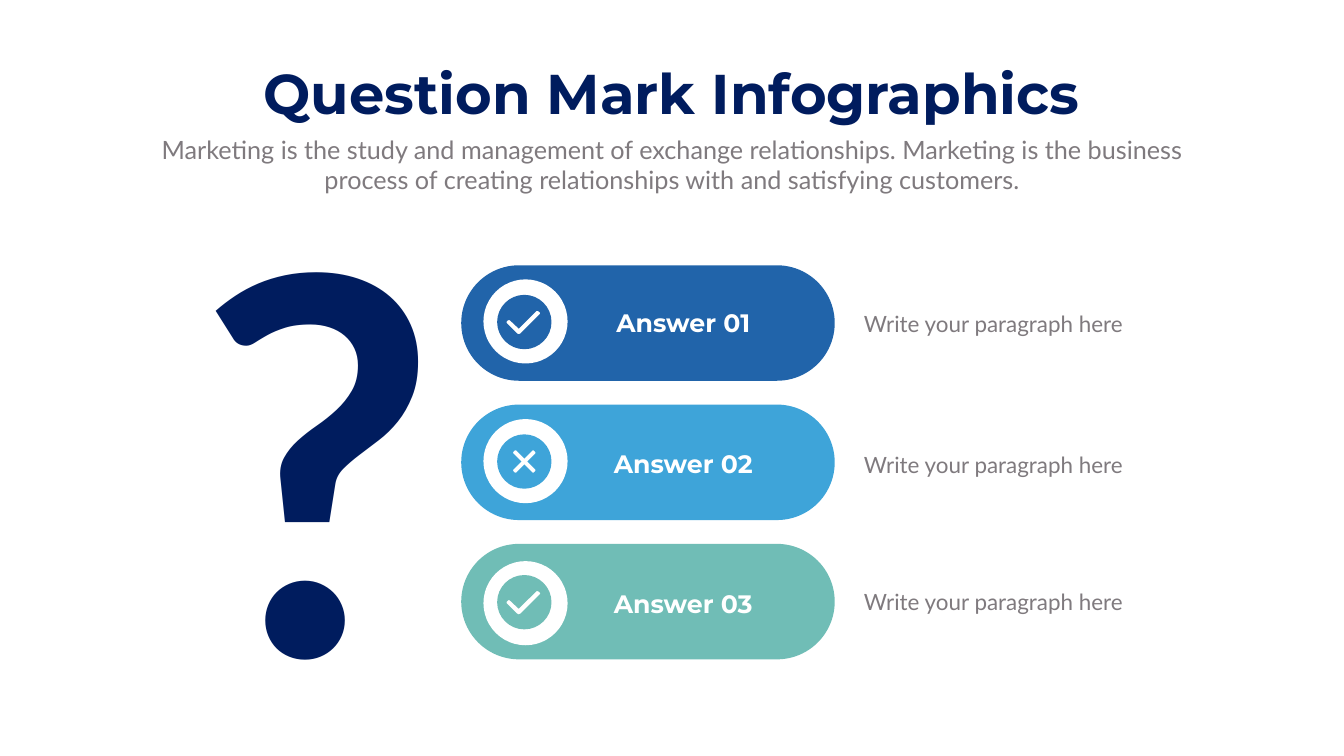
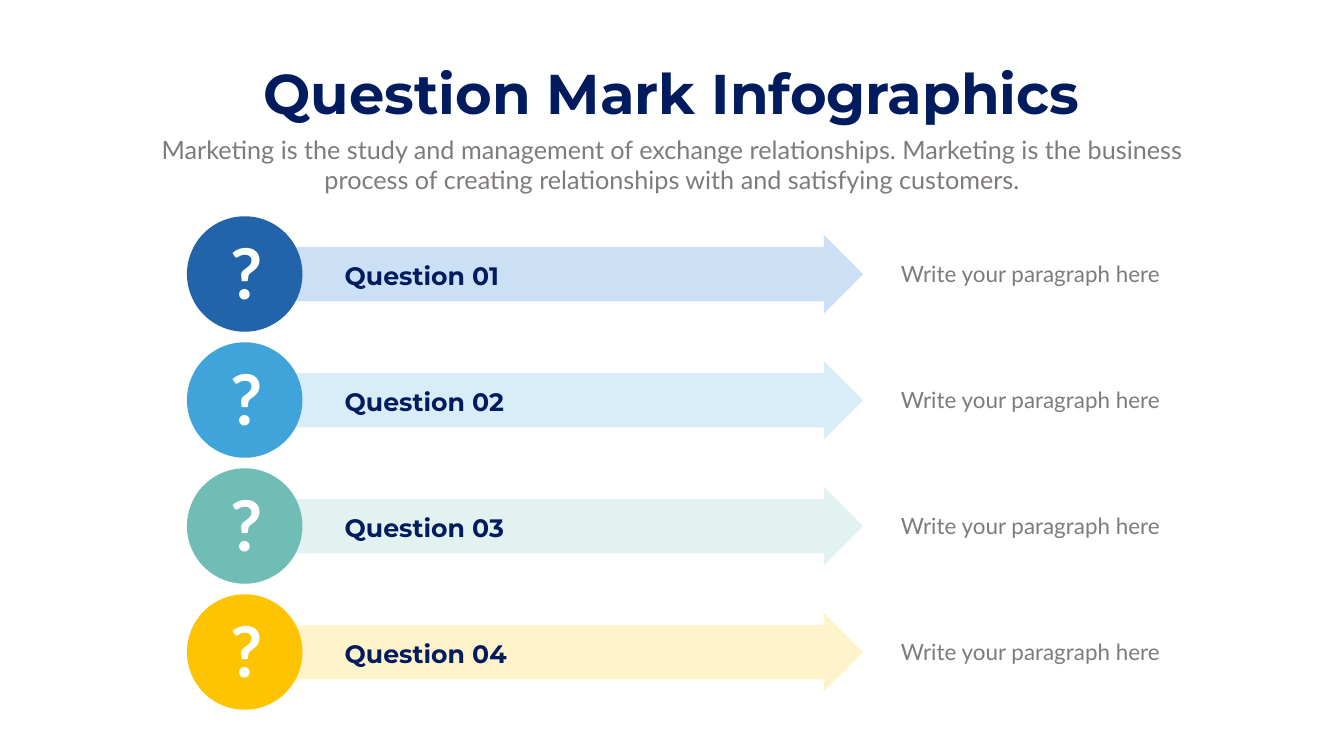
from lxml import etree
from pptx import Presentation
from pptx.dml.color import RGBColor
from pptx.enum import shapes, text
from pptx.oxml.ns import qn
from pptx.util import Cm, Pt

NAVY = RGBColor(0x00, 0x1C, 0x5E)
GREY = RGBColor(0x7F, 0x7A, 0x7E)
WHITE = RGBColor(0xFF, 0xFF, 0xFF)
BLUE = RGBColor(0x21, 0x64, 0xAA)
SKY = RGBColor(0x3E, 0xA4, 0xD9)
TEAL = RGBColor(0x70, 0xBD, 0xB6)
YELLOW = RGBColor(0xFE, 0xC4, 0x02)
PALE_BLUE = RGBColor(0xCC, 0xE0, 0xF5)
PALE_SKY = RGBColor(0xD8, 0xED, 0xF7)
PALE_TEAL = RGBColor(0xE2, 0xF2, 0xF0)
PALE_YELLOW = RGBColor(0xFF, 0xF3, 0xCC)

HEADING_FONT = "Montserrat"
BODY_FONT = "Lato"
LEFT = text.PP_ALIGN.LEFT
CENTER = text.PP_ALIGN.CENTER
SHAPE = shapes.MSO_SHAPE

TITLE = "Question Mark Infographics"
SUBTITLE = (
    "Marketing is the study and management of exchange relationships. "
    "Marketing is the business process of creating relationships with "
    "and satisfying customers."
)
PARAGRAPH = "Write your paragraph here"

# Icon outlines, in centimetres from the centre of the disc
DISC_RADIUS = 1.37
DISC = [(0, -DISC_RADIUS), (-DISC_RADIUS, 0), (0, DISC_RADIUS), (DISC_RADIUS, 0)]
QUARTER_ARC = 0.55  # handle length of a quarter circle, as a share of the radius
CHECK = [
    (0.79, -0.41), (-0.2, 0.58), (-0.28, 0.62), (-0.36, 0.58), (-0.89, 0.05),
    (-0.89, -0.03), (-0.81, -0.1), (-0.74, -0.1), (-0.28, 0.33), (0.61, -0.56),
    (0.69, -0.56), (0.79, -0.48), (0.81, -0.44),
]
CROSS_ARM = [(0.15, 0), (0.56, 0.41), (0.56, 0.48), (0.48, 0.56), (0.41, 0.56)]
CROSS = (
    CROSS_ARM
    + [(-y, x) for x, y in CROSS_ARM]
    + [(-x, -y) for x, y in CROSS_ARM]
    + [(y, -x) for x, y in CROSS_ARM]
)

# Label, colour, mark, then distances below the pill's top:
# ring, icon centre, label, paragraph
ANSWERS = [
    ("Answer 01", BLUE, CHECK, 0.71, 2.86, 2.01, 2.11),
    ("Answer 02", SKY, CROSS, 0.73, 2.87, 2.1, 2.23),
    ("Answer 03", TEAL, CHECK, 0.87, 2.94, 2.09, 2.09),
]
QUESTIONS = [
    ("Question 01", BLUE, PALE_BLUE),
    ("Question 02", SKY, PALE_SKY),
    ("Question 03", TEAL, PALE_TEAL),
    ("Question 04", YELLOW, PALE_YELLOW),
]


def paint(shape, color):
    shape.fill.solid()
    shape.fill.fore_color.rgb = color
    shape.line.fill.background()
    shape.shadow.inherit = False


def add_filled(slide, kind, box, color, adjustments=()):
    shape = slide.shapes.add_shape(kind, *map(Cm, box))
    for index, value in enumerate(adjustments):
        shape.adjustments[index] = value
    paint(shape, color)


def write(shape, content, size, color, font, bold=False, align=LEFT, wrap=True):
    frame = shape.text_frame
    frame.word_wrap = wrap
    frame.auto_size = text.MSO_AUTO_SIZE.SHAPE_TO_FIT_TEXT
    frame.vertical_anchor = text.MSO_ANCHOR.TOP
    paragraph = frame.paragraphs[0]
    paragraph.alignment = align
    run = paragraph.add_run()
    run.text = content
    run.font.size = Pt(size)
    run.font.name = font
    run.font.bold = bold
    run.font.color.rgb = color


def add_text(slide, box, *content, **style):
    write(slide.shapes.add_textbox(*map(Cm, box)), *content, **style)


def add_paragraph_text(slide, left, top, width):
    add_text(slide, (left, top, width, 1.63), PARAGRAPH, 32, GREY, BODY_FONT)


def add_label(slide, left, top, label, color, align=LEFT):
    add_text(slide, (left, top, 8.92, 1.8), label, 36, color, HEADING_FONT,
             bold=True, align=align)


def add_headed_slide(presentation):
    slide = presentation.slides.add_slide(presentation.slide_layouts[5])
    title = slide.shapes.title
    title.left, title.top = Cm(12.45), Cm(2.84)
    title.width, title.height = Cm(42.8), Cm(3.68)
    write(title, TITLE, 80, NAVY, HEADING_FONT, bold=True, align=CENTER, wrap=False)
    add_text(slide, (7.42, 6.63, 52.88, 3.33), SUBTITLE, 36, GREY, BODY_FONT,
             align=CENTER)
    return slide


def round_disc(shape):
    """Turn the four straight sides of the disc into quarter circles."""
    center = Cm(DISC_RADIUS)
    corners = [(center + Cm(x), center + Cm(y)) for x, y in DISC]
    sides = list(shape.element.iter(qn("a:lnTo")))[:4]
    for side, start, end in zip(sides, corners, corners[1:] + corners[:1]):
        curve = etree.Element(qn("a:cubicBezTo"))
        first = [p + QUARTER_ARC * (q - center) for p, q in zip(start, end)]
        second = [q + QUARTER_ARC * (p - center) for p, q in zip(start, end)]
        for x, y in (first, second, end):
            etree.SubElement(curve, qn("a:pt"), x=str(round(x)), y=str(round(y)))
        side.getparent().replace(side, curve)


def add_icon(slide, center_x, center_y, mark, color):
    """Draw a disc with the mark cut out of it."""
    disc_points, mark_points = (
        [(Cm(center_x + x), Cm(center_y + y)) for x, y in outline]
        for outline in (DISC, mark)
    )
    builder = slide.shapes.build_freeform(*disc_points[0])
    builder.add_line_segments(disc_points[1:] + disc_points[:1], close=True)
    builder.move_to(*mark_points[0])
    builder.add_line_segments(mark_points[1:], close=True)
    icon = builder.convert_to_shape()
    round_disc(icon)
    paint(icon, color)


def add_answer(slide, left, top, answer):
    label, color, mark, ring_y, icon_y, label_y, paragraph_y = answer
    add_filled(slide, SHAPE.ROUNDED_RECTANGLE, (left, top, 18.82, 5.82), color, [0.5])
    add_filled(slide, SHAPE.OVAL, (left + 1.12, top + ring_y, 4.24, 4.24), WHITE)
    add_icon(slide, left + 3.18, top + icon_y, mark, color)
    add_label(slide, left + 6.73, top + label_y, label, WHITE, CENTER)
    add_paragraph_text(slide, left + 20.04, top + paragraph_y, 14.45)


def add_question(slide, left, top, question):
    label, color, pale_color = question
    add_filled(slide, SHAPE.RIGHT_ARROW, (left + 2.24, top + 0.94, 31.83, 3.96),
               pale_color, [0.689, 0.5])
    add_filled(slide, SHAPE.OVAL, (left, top, 5.82, 5.82), color)
    add_text(slide, (left + 1.93, top + 0.53, 1.91, 4.52), "?", 100, WHITE,
             BODY_FONT, bold=True, align=CENTER, wrap=False)
    add_label(slide, left + 7.7, top + 2.11, label, NAVY)
    add_paragraph_text(slide, left + 35.72, top + 2.09, 14.12)


def build_answers_slide(presentation):
    slide = add_headed_slide(presentation)
    add_text(slide, (9.7, 6.5, 11.73, 32.31), "?", 750, NAVY, BODY_FONT,
             bold=True, wrap=False)
    for row, answer in enumerate(ANSWERS):
        add_answer(slide, 23.24, 13.37 + 7.02 * row, answer)


def build_questions_slide(presentation):
    slide = add_headed_slide(presentation)
    for row, question in enumerate(QUESTIONS):
        add_question(slide, 9.42, 10.9 + 6.35 * row, question)


def main():
    presentation = Presentation()
    presentation.slide_width = Cm(67.72)
    presentation.slide_height = Cm(38.1)
    build_answers_slide(presentation)
    build_questions_slide(presentation)
    presentation.save("out.pptx")


if __name__ == "__main__":
    main()
